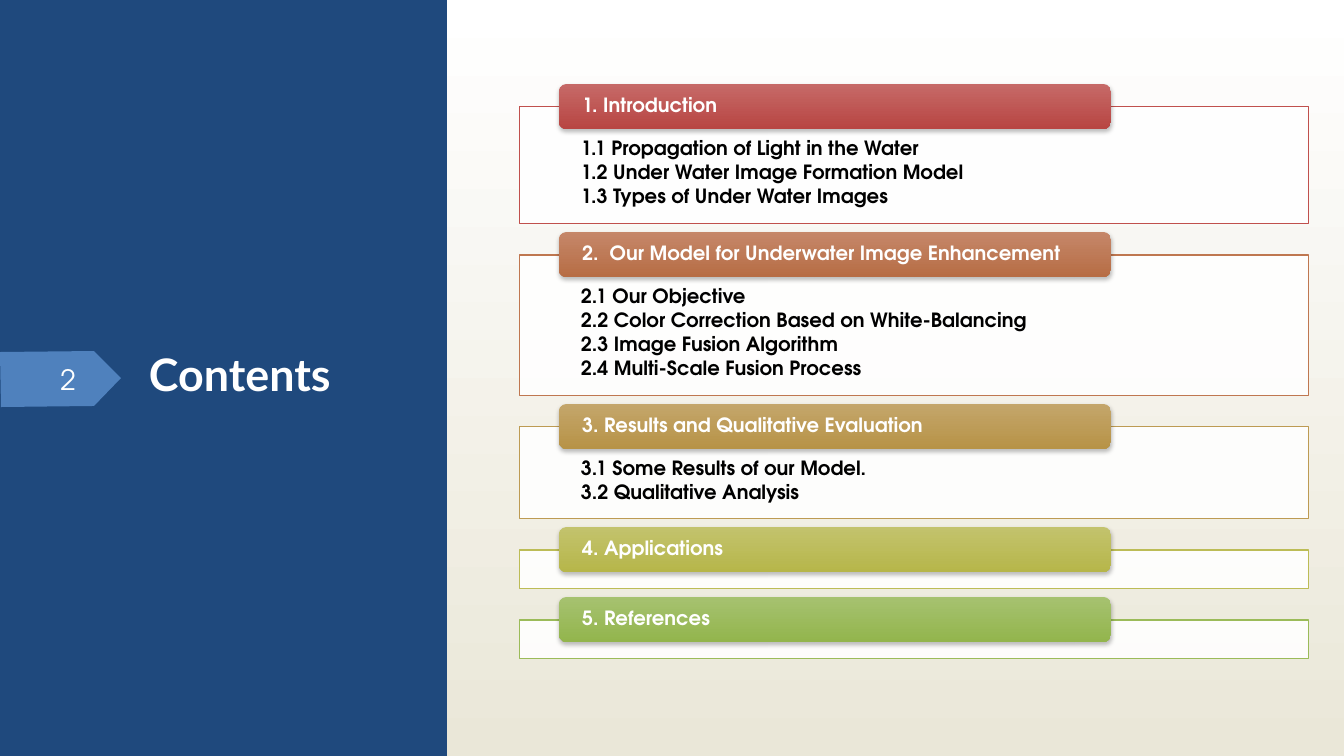
import pptx
import pptx.dml.color
import pptx.enum.shapes
import pptx.enum.text
import pptx.oxml
import pptx.oxml.ns
import pptx.util

RGB = pptx.dml.color.RGBColor
SHAPES = pptx.enum.shapes.MSO_SHAPE
ALIGN = pptx.enum.text.PP_ALIGN
ANCHOR = pptx.enum.text.MSO_ANCHOR

PX = 914400 / 100.8
BODY_FONT = "TeX Gyre Adventor"

WHITE = RGB(0xFF, 0xFF, 0xFF)
BLACK = RGB(0x00, 0x00, 0x00)
NAVY = RGB(0x1F, 0x49, 0x7D)
ARROW_BLUE = RGB(0x4F, 0x81, 0xBD)
PAGE_NUMBER = RGB(0xFE, 0xFF, 0xFF)
CREAM = RGB(0xEA, 0xE7, 0xD8)
RED = RGB(0xC0, 0x50, 0x4D)
RED_TOP = RGB(0xC6, 0x69, 0x67)
RED_BASE = RGB(0xB8, 0x46, 0x43)
RUST = RGB(0xBF, 0x77, 0x50)
RUST_TOP = RGB(0xC5, 0x87, 0x69)
RUST_BASE = RGB(0xB7, 0x6D, 0x45)
GOLD = RGB(0xBD, 0x9B, 0x53)
GOLD_TOP = RGB(0xC4, 0xA6, 0x6B)
GOLD_BASE = RGB(0xB7, 0x93, 0x47)
OLIVE = RGB(0xBC, 0xBC, 0x56)
OLIVE_TOP = RGB(0xC3, 0xC3, 0x6D)
OLIVE_BASE = RGB(0xB6, 0xB6, 0x4A)
GREEN = RGB(0x9B, 0xBB, 0x59)
GREEN_TOP = RGB(0xA6, 0xC2, 0x70)
GREEN_BASE = RGB(0x93, 0xB5, 0x4D)

SECTIONS = [
    ("1. Introduction", 117, RED, RED_TOP, RED_BASE, [
        "1.1 Propagation of Light in the Water",
        "1.2 Under Water Image Formation Model",
        "1.3 Types of Under Water Images"]),
    ("2.  Our Model for Underwater Image Enhancement", 141, RUST, RUST_TOP, RUST_BASE, [
        "2.1 Our Objective",
        "2.2 Color Correction Based on White-Balancing",
        "2.3 Image Fusion Algorithm",
        "2.4 Multi-Scale Fusion Process"]),
    ("3. Results and Qualitative Evaluation", 92, GOLD, GOLD_TOP, GOLD_BASE, [
        "3.1 Some Results of our Model.",
        "3.2 Qualitative Analysis"]),
    ("4. Applications", 39, OLIVE, OLIVE_TOP, OLIVE_BASE, []),
    ("5. References", 39, GREEN, GREEN_TOP, GREEN_BASE, []),
]
FIRST_TOP = 107
SECTION_GAP = 31
HEADER_RISE = 23


def px(length):
    return pptx.util.Emu(round(length * PX))


def fill_gradient(fill, top_color, base_color):
    fill.gradient()
    fill.gradient_angle = 270
    for stop, color in zip(fill.gradient_stops, (top_color, base_color)):
        stop.color.rgb = color


def add_block(slide, kind, left, top, width, height):
    block = slide.shapes.add_shape(kind, px(left), px(top), px(width), px(height))
    block.shadow.inherit = False
    block.line.fill.background()
    return block


def write(frame, text, size, color, margins, font=BODY_FONT, bold=True,
          anchor=ANCHOR.TOP, align=ALIGN.LEFT, line_spacing=1.0, space_after=0):
    frame.word_wrap = True
    frame.vertical_anchor = anchor
    frame.margin_left, frame.margin_top, frame.margin_right, frame.margin_bottom = map(px, margins)
    frame.text = text
    for paragraph in frame.paragraphs:
        paragraph.alignment = align
        paragraph.line_spacing = line_spacing
        paragraph.space_after = pptx.util.Pt(space_after)
        for run in paragraph.runs:
            run.font.name = font
            run.font.size = pptx.util.Pt(size)
            run.font.bold = bold
            run.font.color.rgb = color


def add_label(slide, left, top, width, height, text, size, color, **style):
    label = slide.shapes.add_textbox(px(left), px(top), px(width), px(height))
    write(label.text_frame, text, size, color, (10, 5, 10, 5), **style)


def add_page_arrow(slide):
    builder = slide.shapes.build_freeform(0, 352, scale=PX)
    builder.add_line_segments([(94, 351), (121, 378), (94, 406), (1, 407)])
    arrow = builder.convert_to_shape()
    arrow.shadow.inherit = False
    arrow.fill.solid()
    arrow.fill.fore_color.rgb = ARROW_BLUE
    arrow.line.fill.background()


def add_panel(slide, top, height, outline, topics):
    panel = add_block(slide, SHAPES.RECTANGLE, 520, top, 789, height)
    panel.fill.solid()
    panel.fill.fore_color.rgb = WHITE
    color = panel.fill._xPr.find(".//" + pptx.oxml.ns.qn("a:srgbClr"))
    color.append(pptx.oxml.parse_xml(
        f'<a:alpha {pptx.oxml.ns.nsdecls("a")} val="90000"/>'))
    panel.line.color.rgb = outline
    panel.line.width = pptx.util.Pt(0.75)
    if topics:
        write(panel.text_frame, "\n".join(topics), 14, BLACK, (61, 32, 61, 11),
              line_spacing=0.9, space_after=2)


def add_header(slide, top, title, top_color, base_color):
    header = add_block(slide, SHAPES.ROUNDED_RECTANGLE, 559, top, 552, 45)
    fill_gradient(header.fill, top_color, base_color)
    effects = header._element.spPr.find(pptx.oxml.ns.qn("a:effectLst"))
    effects.append(pptx.oxml.parse_xml(
        f'<a:outerShdw {pptx.oxml.ns.nsdecls("a")} blurRad="38100" dist="25400" '
        'dir="5400000" rotWithShape="0"><a:srgbClr val="000000">'
        '<a:alpha val="25000"/></a:srgbClr></a:outerShdw>'))
    write(header.text_frame, title, 14, WHITE, (21, 0, 21, 0),
          anchor=ANCHOR.MIDDLE, line_spacing=0.9)


def main():
    deck = pptx.Presentation()
    deck.slide_width, deck.slide_height = px(1344), px(756)
    slide = deck.slides.add_slide(deck.slide_layouts[6])
    fill_gradient(slide.background.fill, WHITE, CREAM)

    sidebar = add_block(slide, SHAPES.RECTANGLE, 0, 0, 447, 756)
    sidebar.fill.solid()
    sidebar.fill.fore_color.rgb = NAVY
    add_label(slide, 139, 342, 270, 334, "Contents", 32, WHITE, font="Lato")
    add_page_arrow(slide)
    backdrop = add_block(slide, SHAPES.RECTANGLE, 528, 0, 816, 756)
    fill_gradient(backdrop.fill, WHITE, CREAM)
    add_label(slide, 0, 359, 86, 40, "2", 20, PAGE_NUMBER, bold=False,
              anchor=ANCHOR.MIDDLE, align=ALIGN.RIGHT)

    top = FIRST_TOP
    for title, height, outline, top_color, base_color, topics in SECTIONS:
        add_panel(slide, top, height, outline, topics)
        add_header(slide, top - HEADER_RISE, title, top_color, base_color)
        top += height + SECTION_GAP

    deck.save("out.pptx")


if __name__ == "__main__":
    main()
